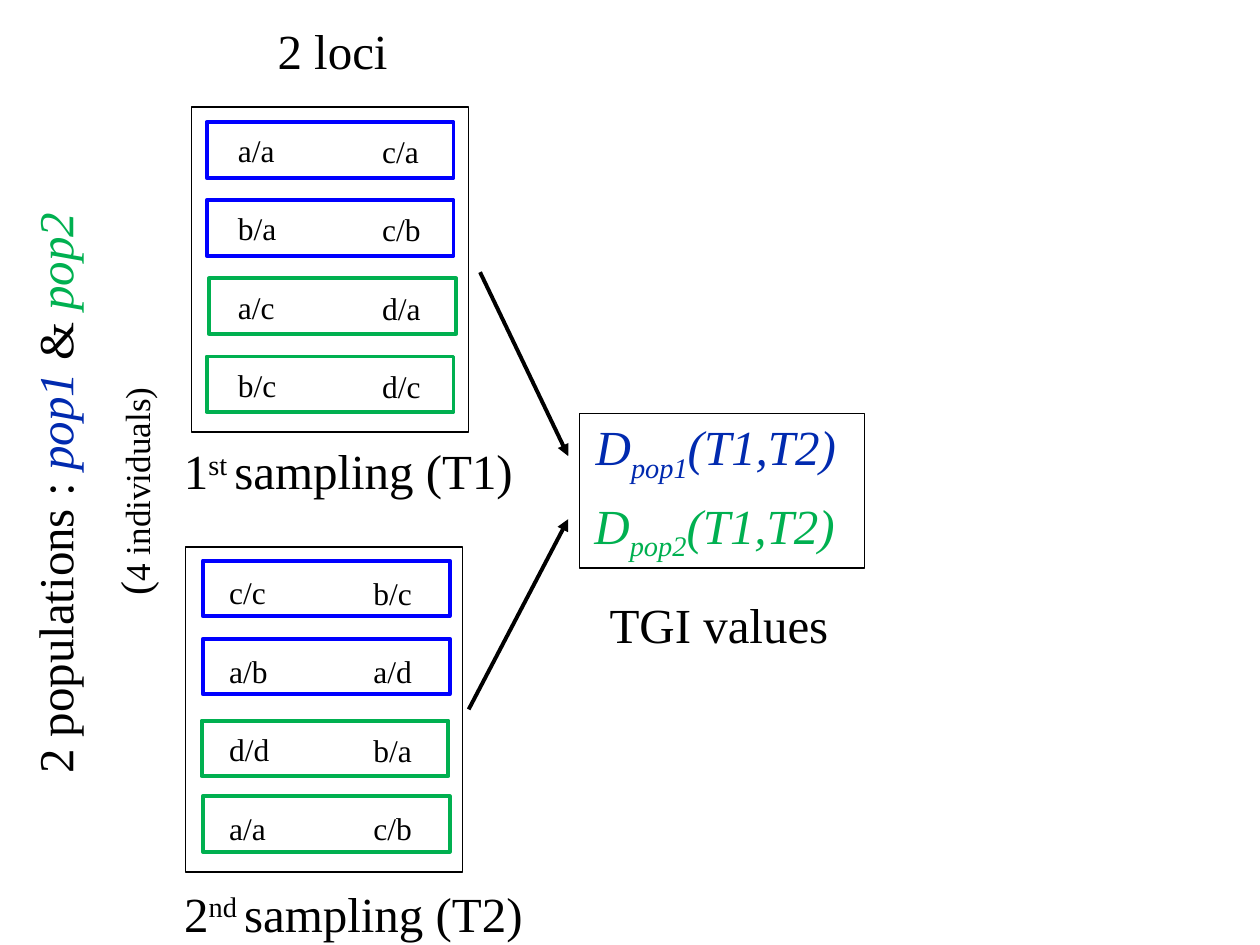
"""Build a slide on two-time sampling of two populations and its TGI values."""
from lxml import etree
from pptx import Presentation
from pptx import util as u
from pptx.dml.color import RGBColor
from pptx.enum import shapes, text
from pptx.oxml import ns

COLORS = {"black": "000000", "white": "FFFFFF", "blue": "0000FF",
          "navy": "012AAF", "green": "00B050"}
FONT = "Times New Roman"
LEFT, CENTER = text.PP_ALIGN.LEFT, text.PP_ALIGN.CENTER
PITCH = 0.623


def rgb(name):
    return RGBColor.from_string(COLORS[name])


def add_box(s, x, y, w, h, line="black", width=0.75, fill=None):
    sp = s.shapes.add_shape(shapes.MSO_SHAPE.RECTANGLE, u.Inches(x), u.Inches(y),
                            u.Inches(w), u.Inches(h))
    sp.shadow.inherit = False
    if fill:
        sp.fill.solid()
        sp.fill.fore_color.rgb = rgb(fill)
    else:
        sp.fill.background()
    sp.line.color.rgb = rgb(line)
    sp.line.width = u.Pt(width)


def add_label(s, x, y, w, h, runs, align=LEFT, rotation=0, wrap=True):
    sp = s.shapes.add_textbox(u.Inches(x), u.Inches(y), u.Inches(w), u.Inches(h))
    sp.rotation = rotation
    tf = sp.text_frame
    tf.word_wrap = wrap
    tf.auto_size = text.MSO_AUTO_SIZE.SHAPE_TO_FIT_TEXT
    p = tf.paragraphs[0]
    p.alignment = align
    for content, size, color, italic, baseline in runs:
        r = p.add_run()
        r.text = content
        r.font.name = FONT
        r.font.size = u.Pt(size)
        r.font.italic = italic
        r.font.color.rgb = rgb(color)
        if baseline:
            r._r.get_or_add_rPr().set("baseline", str(baseline * 1000))


def run(content, size=28, color="black", italic=False, baseline=0):
    return content, size, color, italic, baseline


def add_arrow(s, x1, y1, x2, y2):
    cx = s.shapes.add_connector(shapes.MSO_CONNECTOR.STRAIGHT, u.Inches(x1), u.Inches(y1),
                                u.Inches(x2), u.Inches(y2))
    cx.line.color.rgb = rgb("black")
    cx.line.width = u.Pt(2.25)
    etree.SubElement(cx.line._get_or_add_ln(), ns.qn("a:tailEnd"), type="triangle")
    etree.SubElement(cx._element.spPr, ns.qn("a:effectLst"))


def add_sample(s, x, y, frames, genotypes, text_x, text_y):
    add_box(s, x, y, 2.2, 2.58, fill="white")
    for i, ((fx, fy), pair) in enumerate(zip(frames, genotypes)):
        add_box(s, fx, fy, 1.96, 0.44, "blue" if i < 2 else "green", 2.25)
        for j, genotype in enumerate(pair):
            add_label(s, text_x + 1.145 * j, text_y + PITCH * i + 0.005 * j, 0.55, 0.4,
                      [run(genotype, 18)])


def add_caption(s, x, y, w, number, suffix, name):
    add_label(s, x, y, w, 0.57,
              [run(number), run(suffix + " ", baseline=30), run(f"sampling ({name})")], CENTER)


def add_distance(s, x, y, pop, color):
    add_label(s, x, y, 2.23, 0.57, [run("D", color=color, italic=True),
                                    run(pop, color=color, italic=True, baseline=-25),
                                    run("(T1,T2)", color=color, italic=True)])


def main():
    prs = Presentation()
    prs.slide_width, prs.slide_height = u.Inches(10), u.Inches(7.5)
    s = prs.slides.add_slide(prs.slide_layouts[6])

    add_label(s, -1.92, 3.63, 4.7, 0.57,
              [run("2 populations : "), run("pop1 ", color="navy", italic=True), run("&"),
               run(" pop2", color="green", italic=True)], CENTER, 270, False)
    add_label(s, 0.13, 3.65, 1.86, 0.5, [run("(", 24), run("4 individuals)", 20)],
              CENTER, 270, False)
    add_label(s, 0.96, 0.11, 3.36, 0.57, [run("2 loci")], CENTER)

    add_sample(s, 1.52, 0.85, [(1.64, 0.97), (1.64, 1.59), (1.66, 2.21), (1.64, 2.83)],
               [("a/a", "c/a"), ("b/a", "c/b"), ("a/c", "d/a"), ("b/c", "d/c")], 1.79, 0.99)
    add_caption(s, 1.31, 3.45, 2.91, "1", "st", "T1")
    add_sample(s, 1.47, 4.34, [(1.61, 4.45), (1.61, 5.07), (1.6, 5.72), (1.61, 6.32)],
               [("c/c", "b/c"), ("a/b", "a/d"), ("d/d", "b/a"), ("a/a", "c/b")], 1.72, 4.5)
    add_caption(s, 1.26, 6.96, 3.09, "2", "nd", "T2")

    add_arrow(s, 3.81, 2.16, 4.51, 3.62)
    add_arrow(s, 3.72, 5.63, 4.51, 4.12)
    add_box(s, 4.6, 3.28, 2.26, 1.23, fill="white")
    add_distance(s, 4.63, 3.26, "pop1", "navy")
    add_distance(s, 4.62, 3.88, "pop2", "green")
    add_label(s, 4.74, 4.67, 1.94, 0.57, [run("TGI values")])
    prs.save("out.pptx")


main()
